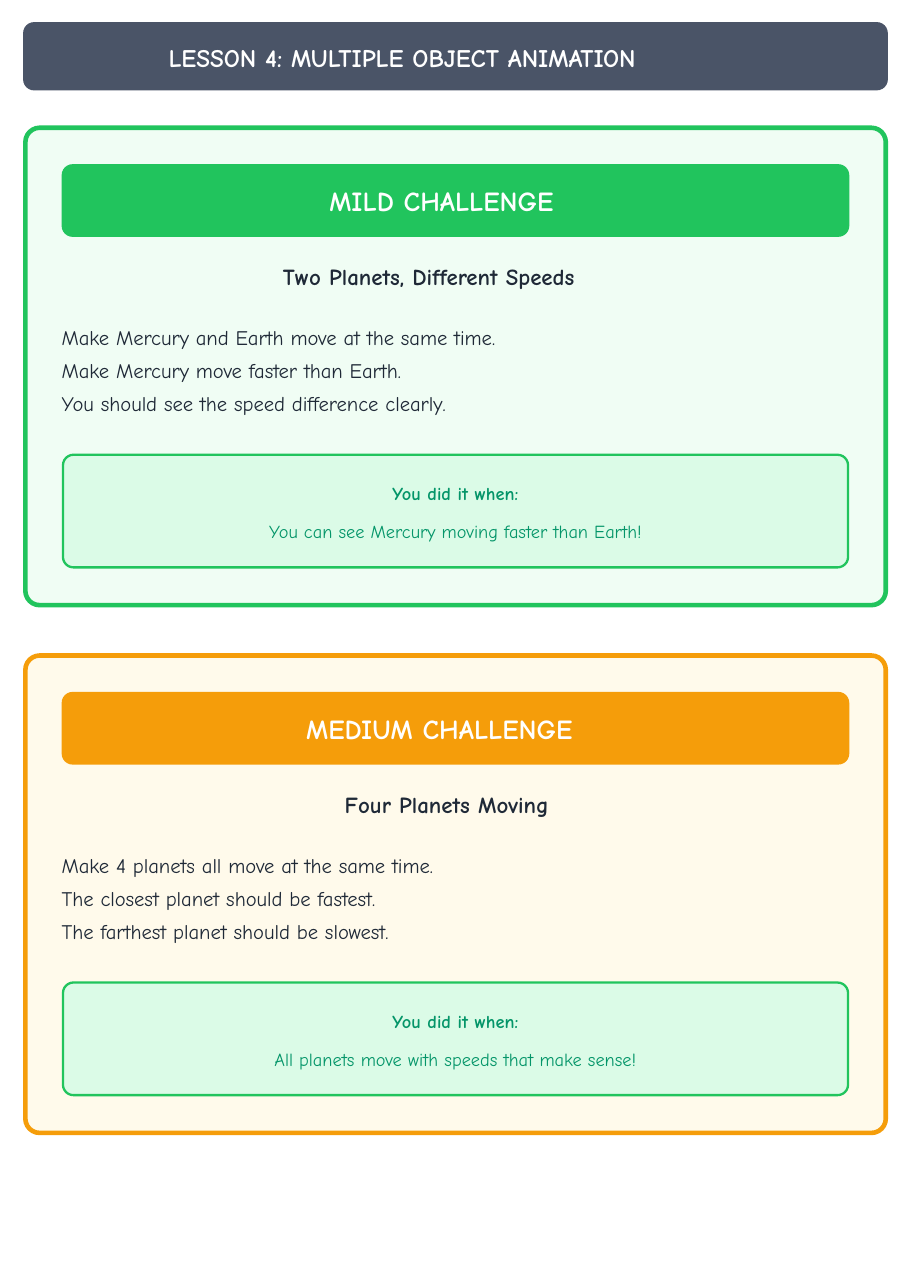
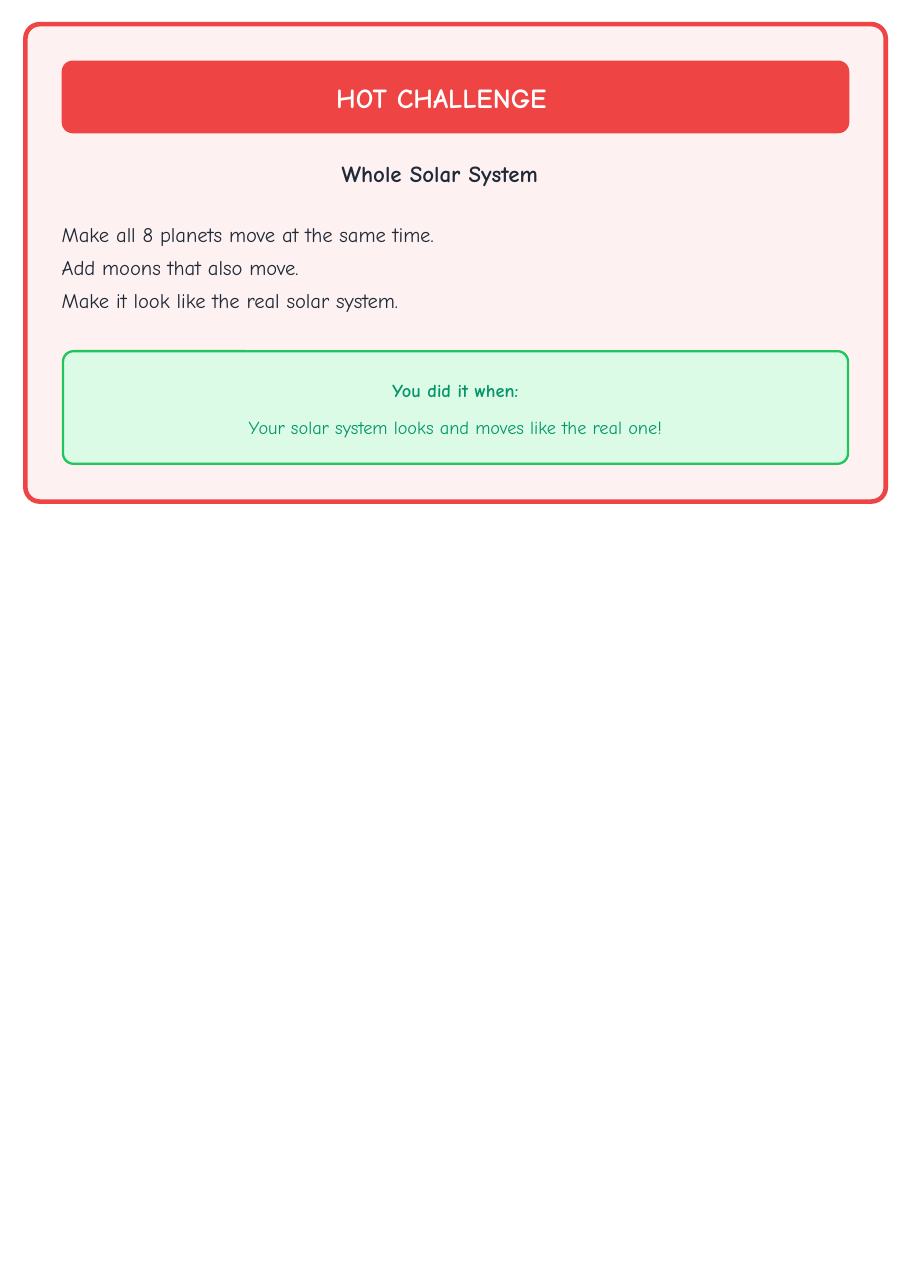
from dataclasses import dataclass

from pptx import Presentation
from pptx.dml.color import RGBColor as RGB
from pptx.enum.shapes import MSO_SHAPE as SHAPE
from pptx.enum.text import MSO_ANCHOR as ANCHOR, PP_ALIGN as ALIGN
from pptx.util import Inches, Pt


@dataclass(frozen=True)
class Theme:
    font: str = "Comic Neue"
    slate: str = "4A5467"
    white: str = "FFFFFF"
    ink: str = "1F2937"
    success: str = "21C45D"
    success_tint: str = "DBFBE7"
    success_text: str = "049569"
    title: float = 16.5
    banner: float = 18
    heading: float = 15
    body: float = 13.5
    note: float = 12


theme = Theme()
prs = Presentation()
prs.slide_width, prs.slide_height = Inches(8.26), Inches(11.69)
COL, ROW = prs.slide_width / 118, prs.slide_height / 167


def add_panel(s, x, y, w, h, radius, fill, line=None, weight=0):
    sp = s.shapes.add_shape(SHAPE.ROUNDED_RECTANGLE, int(x * COL), int(y * ROW), int(w * COL), int(h * ROW))
    sp.shadow.inherit = False
    sp.adjustments[0] = radius / h
    sp.fill.solid()
    sp.fill.fore_color.rgb = RGB.from_string(fill)
    if line:
        sp.line.color.rgb = RGB.from_string(line)
        sp.line.width = Pt(weight)
    else:
        sp.line.fill.background()
    return sp


def write(sp, lines, size, color, bold_lines=0, gap=0, align=ALIGN.LEFT, anchor=ANCHOR.TOP):
    tf = sp.text_frame
    frame = {"word_wrap": True, "vertical_anchor": anchor, "margin_left": 0,
             "margin_right": 0, "margin_top": Pt(1.5), "margin_bottom": 0}
    for name, value in frame.items():
        setattr(tf, name, value)
    for i, line in enumerate(lines):
        p = tf.paragraphs[0] if i == 0 else tf.add_paragraph()
        p.alignment = align
        p.space_before = Pt(gap if i else 0)
        r = p.add_run()
        r.text = line
        for name, value in {"name": theme.font, "size": Pt(size), "bold": i < bold_lines}.items():
            setattr(r.font, name, value)
        r.font.color.rgb = RGB.from_string(color)


TITLE = "LESSON 4: MULTIPLE OBJECT ANIMATION"
CARD_X, CARD_W, CARD_H = 3.29, 111.57, 61.9
INNER_X, INNER_W = 8, 102.14
RIGHT = INNER_X + INNER_W

pages = [
    (TITLE, [
        {"top": 16.57, "color": "21C45D", "tint": "F0FDF4",
         "banner": (42.7, "MILD CHALLENGE"),
         "heading": (36.7, "Two Planets, Different Speeds"),
         "steps": ["Make Mercury and Earth move at the same time.",
                   "Make Mercury move faster than Earth.",
                   "You should see the speed difference clearly."],
         "goal": "You can see Mercury moving faster than Earth!"},
        {"top": 85, "color": "F59D0A", "tint": "FFFAEB",
         "banner": (39.7, "MEDIUM CHALLENGE"),
         "heading": (44.7, "Four Planets Moving"),
         "steps": ["Make 4 planets all move at the same time.",
                   "The closest planet should be fastest.",
                   "The farthest planet should be slowest."],
         "goal": "All planets move with speeds that make sense!"},
    ]),
    (None, [
        {"top": 3.14, "color": "EF4444", "tint": "FEF1F1",
         "banner": (43.6, "HOT CHALLENGE"),
         "heading": (44.3, "Whole Solar System"),
         "steps": ["Make all 8 planets move at the same time.",
                   "Add moons that also move.",
                   "Make it look like the real solar system."],
         "goal": "Your solar system looks and moves like the real one!"},
    ]),
]

for title, cards in pages:
    s = prs.slides.add_slide(prs.slide_layouts[6])
    labels = []
    if title:
        add_panel(s, 3, 2.86, 112.14, 8.86, 1.43, theme.slate)
        labels.append((21.86, 5.19, 5, [title], theme.title, theme.white, 1, 0))

    for card in cards:
        top, color = card["top"], card["color"]
        add_panel(s, CARD_X, top, CARD_W, CARD_H, 1.86, card["tint"], color, 3)
        add_panel(s, INNER_X, top + 4.71, INNER_W, 9.43, 1.43, color)
        goal = add_panel(s, INNER_X + 0.17, top + 42.4, INNER_W - 0.34, 14.6, 1.36,
                         theme.success_tint, theme.success, 1.5)
        write(goal, ["You did it when:", card["goal"]], theme.note, theme.success_text,
              bold_lines=1, gap=10.3, align=ALIGN.CENTER, anchor=ANCHOR.MIDDLE)
        banner_x, banner = card["banner"]
        heading_x, heading = card["heading"]
        labels += [
            (banner_x, top + 7.04, 5, [banner], theme.banner, theme.white, 1, 0),
            (heading_x, top + 17.19, 4, [heading], theme.heading, theme.ink, 1, 0),
            (INNER_X, top + 25.27, 13, card["steps"], theme.body, theme.ink, 0, 5.5),
        ]

    for x, y, h, lines, size, color, bold_lines, gap in labels:
        sp = s.shapes.add_textbox(int(x * COL), int(y * ROW), int((RIGHT - x) * COL), int(h * ROW))
        write(sp, lines, size, color, bold_lines, gap)

prs.save("out.pptx")
